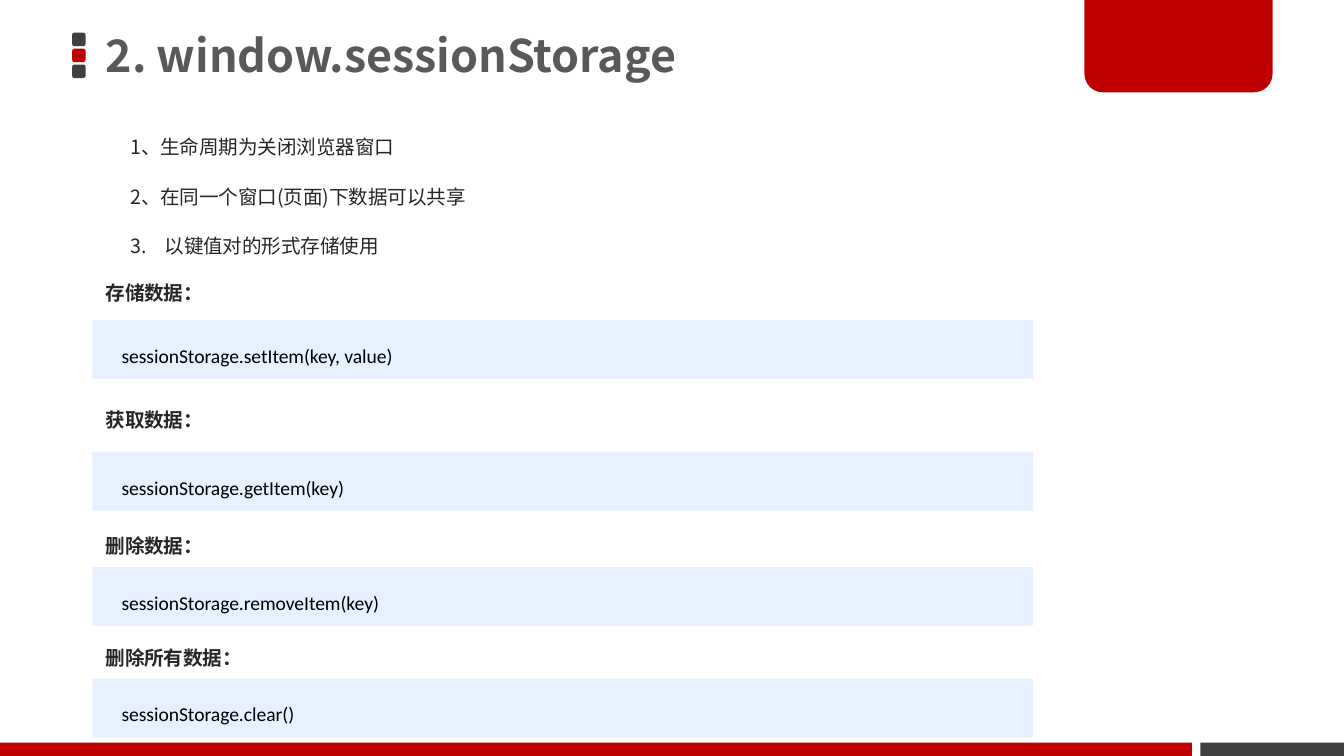
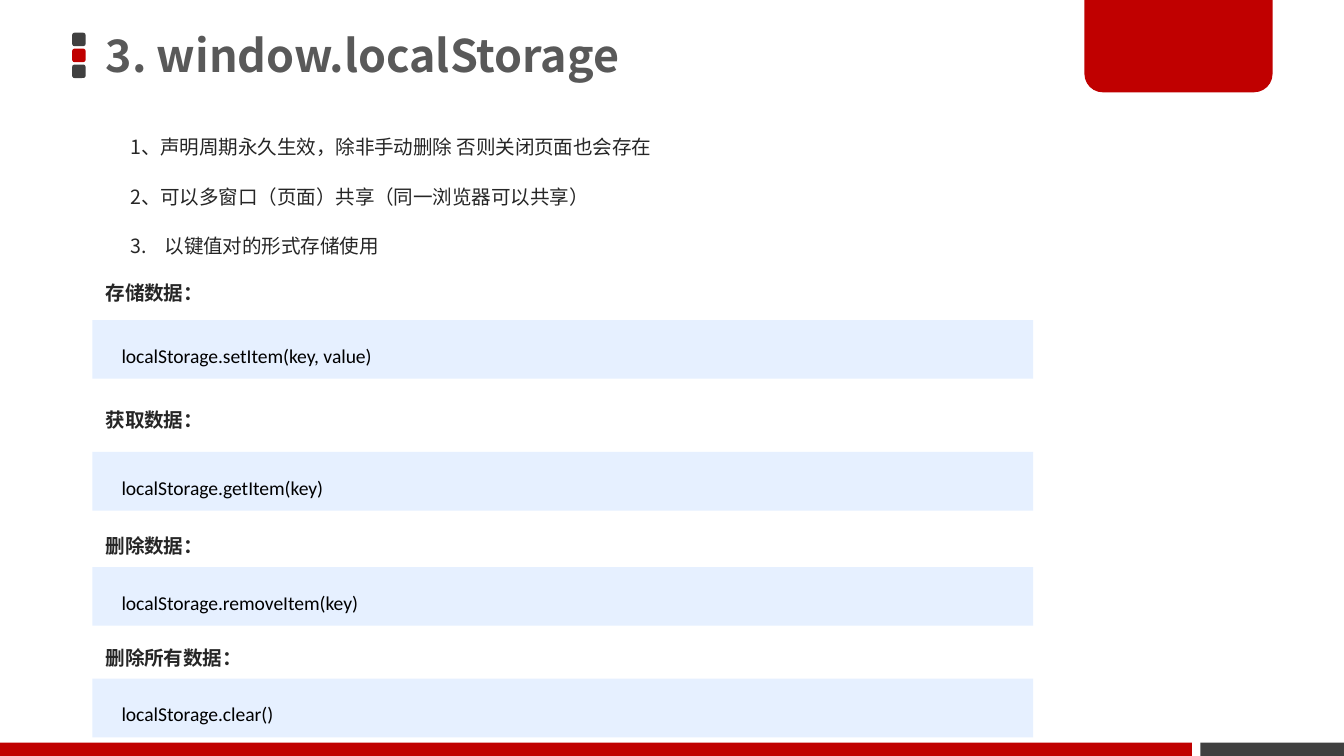
"""Build two slides on the web storage objects."""
from dataclasses import dataclass

from pptx import Presentation
from pptx.dml.color import RGBColor
from pptx.enum.shapes import MSO_SHAPE
from pptx.enum.text import MSO_ANCHOR, MSO_AUTO_SIZE, PP_ALIGN
from pptx.oxml.ns import qn
from pptx.shapes.autoshape import Shape
from pptx.slide import Slide, SlideLayout
from pptx.text.text import TextFrame
from pptx.util import Emu, Pt
from lxml.etree import SubElement

PX = 5715
WIDE, HIGH = 1600, 900
RED = RGBColor(0xC0, 0x00, 0x00)
DARK = RGBColor(0x40, 0x40, 0x40)
GREY = RGBColor(0x59, 0x59, 0x59)
INK = RGBColor(0x26, 0x26, 0x26)
BLACK = RGBColor(0x00, 0x00, 0x00)
PALE = RGBColor(0xE6, 0xF0, 0xFF)
SANS, CODE = "Noto Sans CJK SC", "Calibri"
LEFT, SPAN = 110, 1179


@dataclass(frozen=True)
class Box:
    left: int
    top: int
    width: int
    height: int

    def emu(self) -> tuple[Emu, ...]:
        sides = (self.left, self.top, self.width, self.height)
        return tuple(Emu(side * PX) for side in sides)


@dataclass(frozen=True)
class Part:
    kind: MSO_SHAPE
    box: Box
    fill: RGBColor
    bends: tuple[float, ...] = ()


@dataclass(frozen=True)
class Step:
    label: str
    top: int
    call: str
    bar: int


@dataclass(frozen=True)
class Page:
    title: str
    store: str
    facts: tuple[str, ...]


FRAME = [
    *(Part(MSO_SHAPE.ROUNDED_RECTANGLE, Box(86, 39 + 19 * i, 16, 16), fill, (0.17,))
      for i, fill in enumerate((DARK, RED, DARK))),
    Part(MSO_SHAPE.RECTANGLE, Box(1429, 884, 171, 16), DARK),
    Part(MSO_SHAPE.ROUND_2_SAME_RECTANGLE, Box(1291, 0, 224, 110), RED, (0, 0.2)),
    Part(MSO_SHAPE.RECTANGLE, Box(0, 884, 1419, 16), RED),
]
STEPS = [
    Step("存储数据：", 313, "setItem(key, value)", 381),
    Step("获取数据：", 464, "getItem(key)", 538),
    Step("删除数据：", 614, "removeItem(key)", 675),
    Step("删除所有数据：", 747, "clear()", 808),
]
PAGES = [
    Page("2. window.sessionStorage", "sessionStorage", (
        "1、生命周期为关闭浏览器窗口",
        "2、在同一个窗口(页面)下数据可以共享",
        "3.\t以键值对的形式存储使用",
    )),
    Page("3. window.localStorage", "localStorage", (
        "1、声明周期永久生效，除非手动删除 否则关闭页面也会存在",
        "2、可以多窗口（页面）共享（同一浏览器可以共享）",
        "3.\t以键值对的形式存储使用",
    )),
]


def write(frame: TextFrame, *lines: str, size: float = 10.5, font: str = SANS,
          color: RGBColor = INK, bold: bool = False, lead: float = 1.5,
          before: float = 0, margin: int = 0, hang: int = 0,
          anchor: MSO_ANCHOR = MSO_ANCHOR.TOP) -> None:
    frame.word_wrap = True
    frame.auto_size = MSO_AUTO_SIZE.NONE
    frame.vertical_anchor = anchor
    for i, line in enumerate(lines):
        para = frame.add_paragraph() if i else frame.paragraphs[0]
        para.alignment = PP_ALIGN.LEFT
        para.line_spacing = lead
        para.space_before = Pt(before)
        props = para._p.get_or_add_pPr()
        props.set("marL", str((margin + hang) * PX))
        props.set("indent", str(-hang * PX))
        SubElement(props, qn("a:buNone"))
        run = para.add_run()
        run.text = line
        run.font.size = Pt(size)
        run.font.bold = bold
        run.font.color.rgb = color
        run.font.name = font
        SubElement(run._r.get_or_add_rPr(), qn("a:ea"), typeface=font)


def draw(slide: Slide, part: Part) -> Shape:
    shape = slide.shapes.add_shape(part.kind, *part.box.emu())
    shape.shadow.inherit = False
    shape.fill.solid()
    shape.fill.fore_color.rgb = part.fill
    shape.line.fill.background()
    for i, bend in enumerate(part.bends):
        shape.adjustments[i] = bend
    return shape


def place(shape: Shape, box: Box) -> TextFrame:
    shape.left, shape.top, shape.width, shape.height = box.emu()
    return shape.text_frame


def share(slide: Slide, base: SlideLayout) -> None:
    for part in FRAME:
        base.shapes.element.append(draw(slide, part).element)


def fill(slide: Slide, page: Page) -> None:
    head, body = slide.placeholders
    write(place(head, Box(LEFT, 0, SPAN, 139)), page.title, size=24, color=GREY,
          bold=True, lead=0.9, anchor=MSO_ANCHOR.MIDDLE)
    write(place(body, Box(139, 139, SPAN, 184)), *page.facts, before=7.5, hang=41)
    for step in STEPS:
        bar = draw(slide, Part(MSO_SHAPE.RECTANGLE, Box(LEFT, step.bar, 1120, 70), PALE))
        write(bar.text_frame, f"{page.store}.{step.call}", font=CODE, color=BLACK,
              margin=19, anchor=MSO_ANCHOR.MIDDLE)
        label = slide.shapes.add_textbox(*Box(LEFT, step.top, SPAN, 62).emu())
        write(label.text_frame, step.label, bold=True, before=7.5)


def main() -> None:
    deck = Presentation()
    deck.slide_width, deck.slide_height = Emu(WIDE * PX), Emu(HIGH * PX)
    base = deck.slide_layouts[1]
    for i, page in enumerate(PAGES):
        slide = deck.slides.add_slide(base)
        if i == 0:
            share(slide, base)
        fill(slide, page)
    deck.save("out.pptx")


if __name__ == "__main__":
    main()
